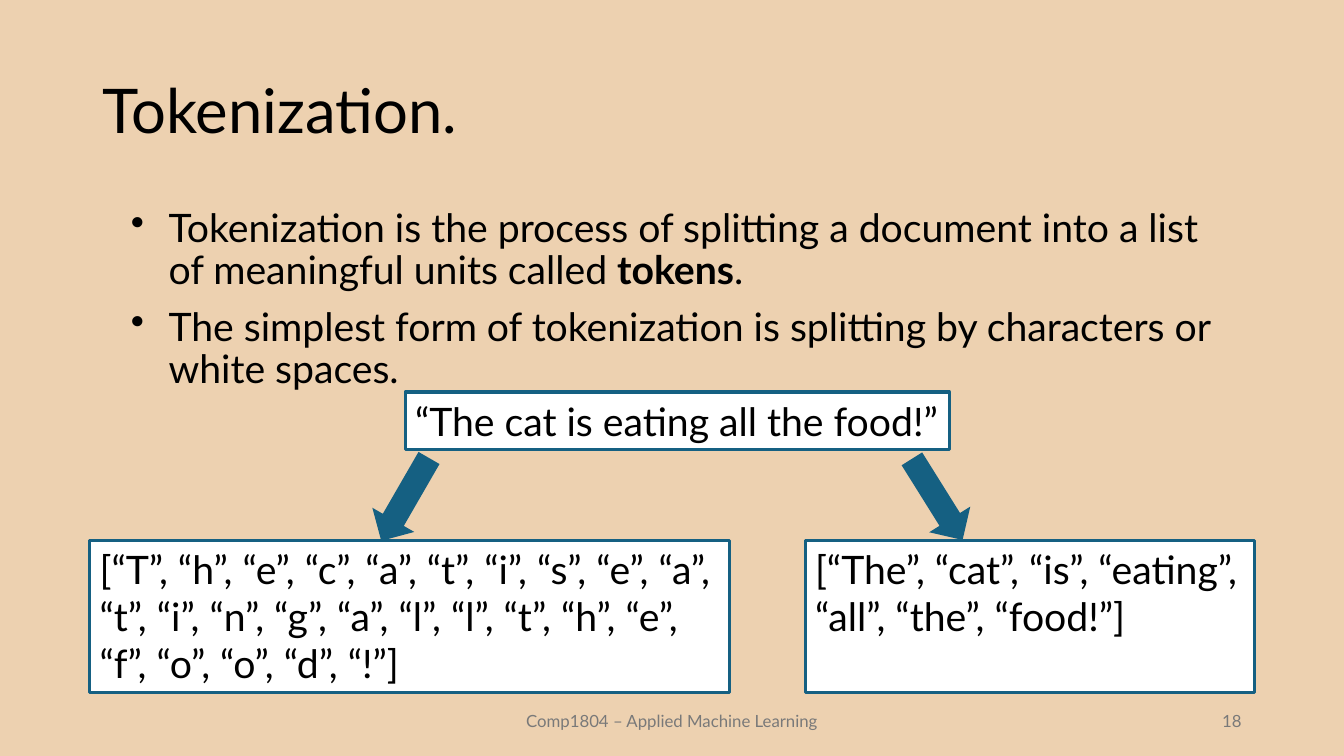
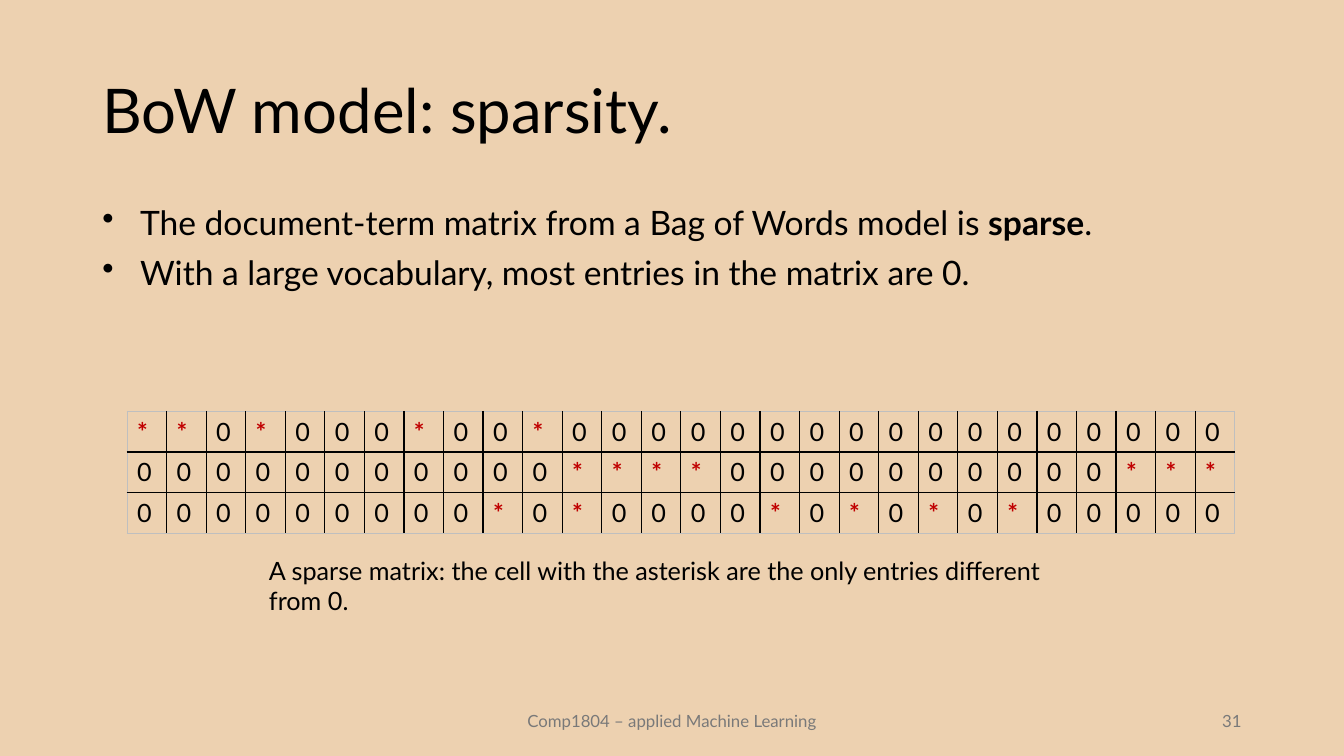
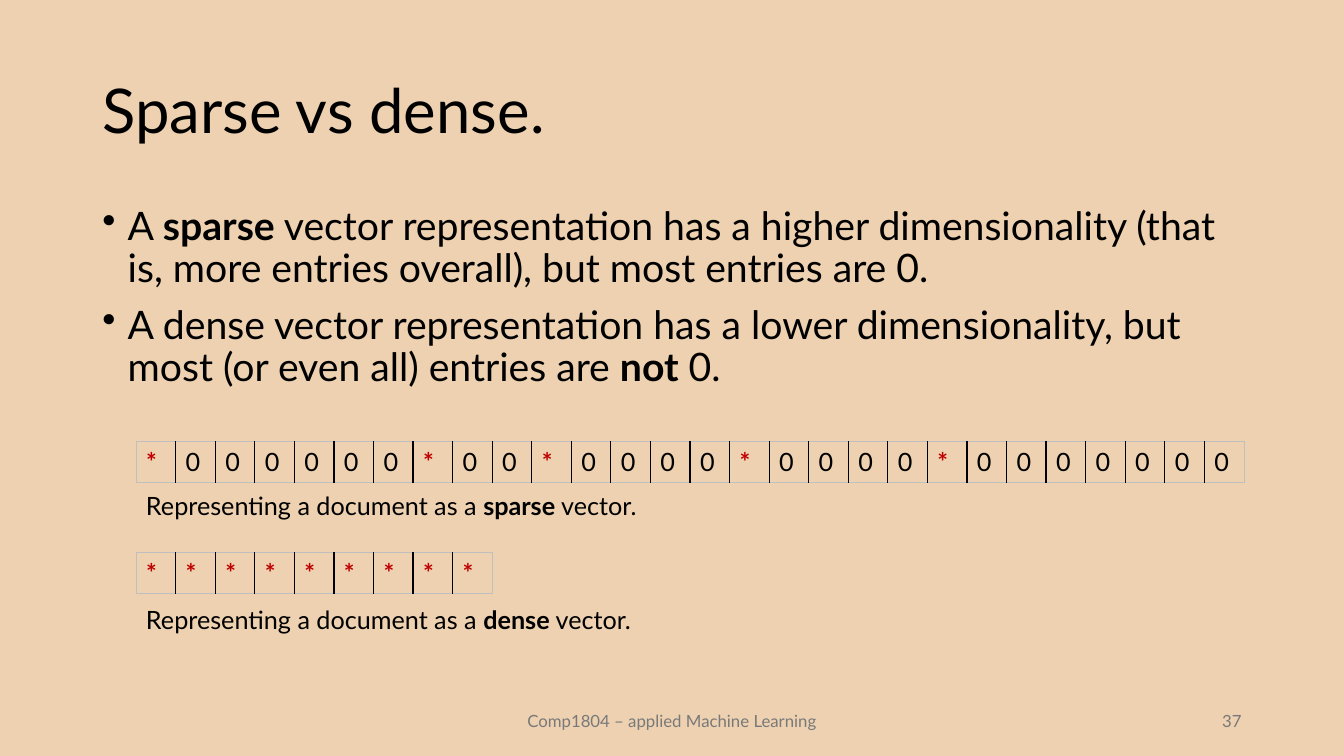
from dataclasses import dataclass
from typing import NamedTuple

from lxml.etree import SubElement
from pptx import Presentation
from pptx.dml.color import RGBColor
from pptx.enum.shapes import MSO_SHAPE
from pptx.enum.text import MSO_ANCHOR, MSO_AUTO_SIZE, PP_ALIGN
from pptx.oxml.ns import qn
from pptx.util import Cm, Pt


@dataclass(frozen=True)
class Theme:
    font: str = "Lato"
    sand: str = "EDD1B0"
    ink: str = "000000"
    muted: str = "797979"
    blue: str = "156082"
    white: str = "FFFFFF"
    red: str = "C00000"
    edge: str = "BFBFBF"
    title: float = 44
    body: float = 28
    body_small: float = 24
    caption: float = 18
    footer: float = 12
    outline: float = 2.25


class Box(NamedTuple):
    """Left, top, width and height in centimetres."""
    left: float
    top: float
    width: float
    height: float

    def lengths(self):
        return [Cm(value) for value in self]


THEME = Theme()
TITLE = Box(2.33, 1.01, 29.21, 3.68)
FOOTER = Box(11.22, 17.65, 11.43, 1.01)
NUMBER = Box(23.92, 17.65, 7.62, 1.01)
COLUMN = 27.94 / 28
ROW = 1.03


# Text

def style(span, size, color=THEME.ink, bold=False):
    span.font.name = THEME.font
    span.font.size = Pt(size)
    span.font.color.rgb = RGBColor.from_string(color)
    span.font.bold = bold


def write(para, text, size, color=THEME.ink):
    """Fill a paragraph; parts between double asterisks are bold."""
    for index, part in enumerate(text.split("**")):
        span = para.add_run()
        span.text = part
        style(span, size, color, bold=index % 2 == 1)


def add_text(slide, box, text, size, color=THEME.ink,
             align=PP_ALIGN.LEFT, anchor=MSO_ANCHOR.TOP):
    frame = slide.shapes.add_textbox(*box.lengths()).text_frame
    frame.word_wrap = True
    frame.vertical_anchor = anchor
    para = frame.paragraphs[0]
    para.alignment = align
    write(para, text, size, color)
    return para


def add_bullets(slide, box, lines, size, indent):
    frame = slide.shapes.add_textbox(*box.lengths()).text_frame
    frame.word_wrap = True
    for index, line in enumerate(lines):
        para = frame.add_paragraph() if index else frame.paragraphs[0]
        para.line_spacing = 0.9
        para.space_before = Pt(10)
        write(para, line, size)
        properties = para._p.get_or_add_pPr()
        properties.set("marL", str(Cm(indent)))
        properties.set("indent", str(-Cm(indent)))
        SubElement(properties, qn("a:buChar"), char="•")


# Shapes

def add_token_box(slide, box, text, wrap=True):
    shape = slide.shapes.add_shape(MSO_SHAPE.RECTANGLE, *box.lengths())
    shape.shadow.inherit = False
    shape.fill.solid()
    shape.fill.fore_color.rgb = RGBColor.from_string(THEME.white)
    shape.line.color.rgb = RGBColor.from_string(THEME.blue)
    shape.line.width = Pt(THEME.outline)
    frame = shape.text_frame
    frame.word_wrap = wrap
    frame.auto_size = MSO_AUTO_SIZE.SHAPE_TO_FIT_TEXT
    frame.vertical_anchor = MSO_ANCHOR.TOP
    frame.paragraphs[0].alignment = PP_ALIGN.LEFT
    write(frame.paragraphs[0], text, THEME.body)


def add_arrow(slide, box, rotation):
    arrow = slide.shapes.add_shape(MSO_SHAPE.DOWN_ARROW, *box.lengths())
    arrow.shadow.inherit = False
    arrow.rotation = rotation
    arrow.fill.solid()
    arrow.fill.fore_color.rgb = RGBColor.from_string(THEME.blue)
    arrow.line.fill.background()


# Matrix of zeros and asterisks

def set_borders(cell, outer_sides):
    properties = cell._tc.get_or_add_tcPr()
    for side, outer in zip("LRTB", outer_sides):
        width = Pt(0.5 if outer else 1)
        line = SubElement(properties, qn(f"a:ln{side}"), w=str(width))
        fill = SubElement(line, qn("a:solidFill"))
        color = THEME.edge if outer else THEME.ink
        SubElement(fill, qn("a:srgbClr"), val=color)


def add_matrix(slide, left, top, rows):
    row_count, column_count = len(rows), len(rows[0])
    box = Box(left, top, COLUMN * column_count, ROW * row_count)
    table = slide.shapes.add_table(row_count, column_count, *box.lengths()).table
    table.first_row = False
    table.horz_banding = False
    for column in table.columns:
        column.width = Cm(COLUMN)
    for y, entries in enumerate(rows):
        table.rows[y].height = Cm(ROW)
        for x, entry in enumerate(entries):
            cell = table.cell(y, x)
            set_borders(cell, (x == 0, x == column_count - 1,
                               y == 0, y == row_count - 1))
            cell.fill.background()
            para = cell.text_frame.paragraphs[0]
            para.text = entry
            filled = entry == "*"
            style(para.runs[0], THEME.caption,
                  THEME.red if filled else THEME.ink, filled)


# Slides

def add_slide(deck, title, footer, number):
    slide = deck.slides.add_slide(deck.slide_layouts[6])
    heading = add_text(slide, TITLE, title, THEME.title, anchor=MSO_ANCHOR.MIDDLE)
    heading.line_spacing = 0.9
    for box, text, align in ((FOOTER, footer, PP_ALIGN.CENTER),
                             (NUMBER, str(number), PP_ALIGN.RIGHT)):
        add_text(slide, box, text, THEME.footer, THEME.muted, align,
                 MSO_ANCHOR.MIDDLE)
    return slide


def tokenization_slide(deck):
    slide = add_slide(deck, "Tokenization.",
                      "Comp1804 – Applied Machine Learning", 18)
    add_bullets(slide, Box(3.05, 5.13, 27.94, 4.04), (
        "Tokenization is the process of splitting a document into a list "
        "of meaningful units called **tokens**.",
        "The simplest form of tokenization is splitting by characters or "
        "white spaces.",
    ), THEME.body, 0.95)
    sentence = "The cat is eating all the food!"
    add_token_box(slide, Box(10.21, 9.88, 13.72, 1.45), f"“{sentence}”", wrap=False)
    splits = (
        (Box(2.26, 13.61, 16.13, 3.84), sentence.replace(" ", "")),
        (Box(20.29, 13.61, 11.33, 3.84), sentence.split()),
    )
    for box, tokens in splits:
        listing = ", ".join(f"“{token}”" for token in tokens)
        # The character list starts with a capital T, as the sentence does
        add_token_box(slide, box, f"[{listing}]")
    for left, rotation in ((9.6, 30), (23.01, 328)):
        add_arrow(slide, Box(left, 11.38, 1.22, 2.41), rotation)


def sparsity_slide(deck):
    slide = add_slide(deck, "BoW model: sparsity.",
                      "Comp1804 – applied Machine Learning", 31)
    add_bullets(slide, Box(2.33, 5.08, 29.21, 12.09), (
        "The document-term matrix from a Bag of Words model is **sparse**.",
        "With a large vocabulary, most entries in the matrix are 0.",
    ), THEME.body_small, 0.95)
    add_matrix(slide, 3.2, 10.36, (
        "**0*000*00*00000000000000000",
        "00000000000****0000000000***",
        "000000000*0*0000*0*0*0*00000",
    ))
    add_text(slide, Box(6.53, 13.87, 20.8, 1.02),
             "A sparse matrix: the cell with the asterisk are the only "
             "entries different from 0.", THEME.caption)


def comparison_slide(deck):
    slide = add_slide(deck, "Sparse vs dense.",
                      "Comp1804 – applied Machine Learning", 37)
    add_bullets(slide, Box(2.33, 5.08, 29.21, 5.41), (
        "A **sparse** vector representation has a higher dimensionality "
        "(that is, more entries overall), but most entries are 0.",
        "A dense vector representation has a lower dimensionality, but "
        "most (or even all) entries are **not** 0.",
    ), THEME.body, 0.64)
    left = 3.43
    vectors = (
        ("sparse", "*000000*00*0000*0000*0000000", 11.13, 12.22),
        ("dense", "*" * 9, 13.92, 15.11),
    )
    for kind, entries, top, caption_top in vectors:
        add_matrix(slide, left, top, (entries,))
        add_text(slide, Box(left, caption_top, 12.95, 1.02),
                 f"Representing a document as a **{kind}** vector.",
                 THEME.caption)


def main():
    deck = Presentation()
    deck.slide_width, deck.slide_height = Cm(33.87), Cm(19.05)
    background = deck.slide_master.background.fill
    background.solid()
    background.fore_color.rgb = RGBColor.from_string(THEME.sand)
    tokenization_slide(deck)
    sparsity_slide(deck)
    comparison_slide(deck)
    deck.save("out.pptx")


if __name__ == "__main__":
    main()
